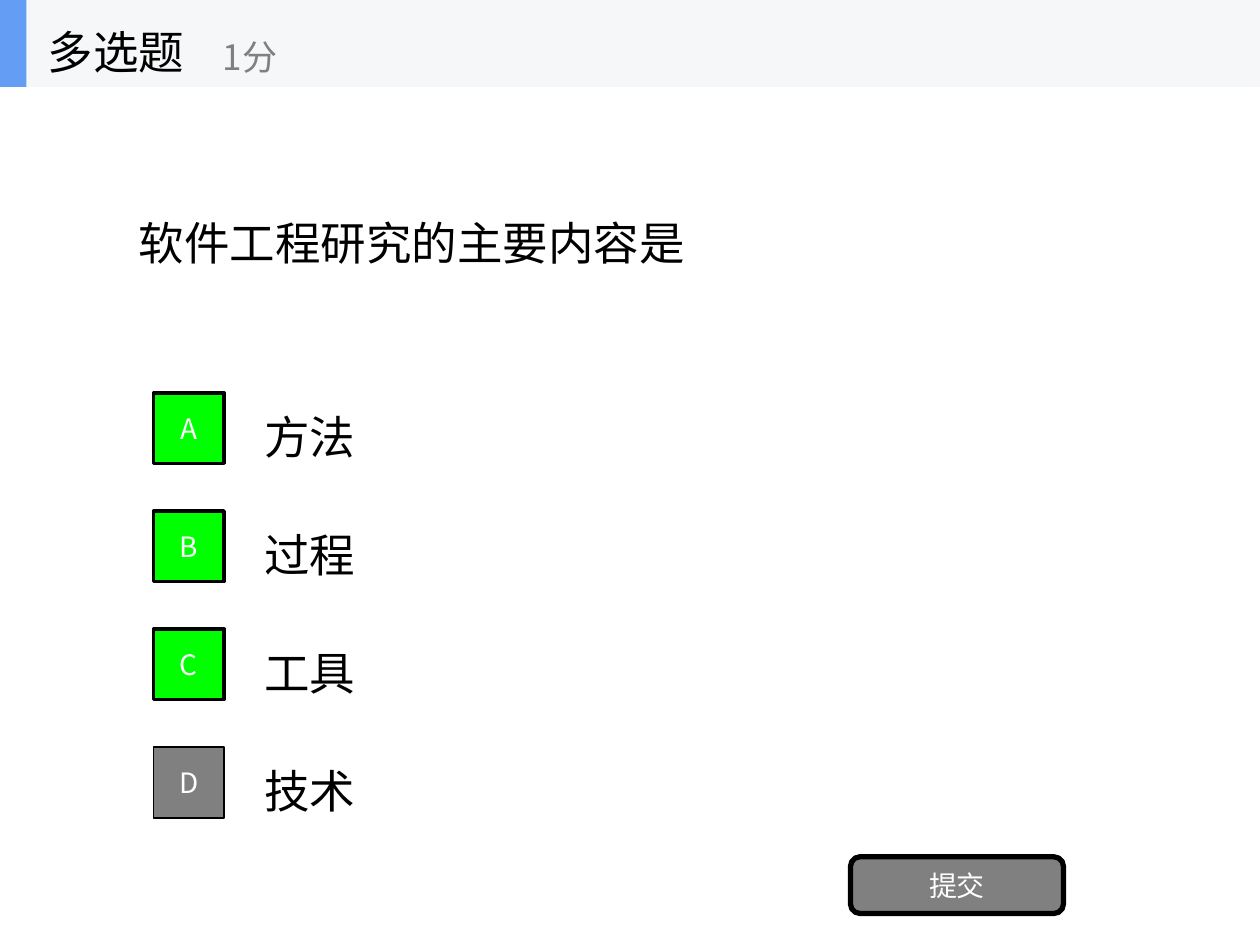
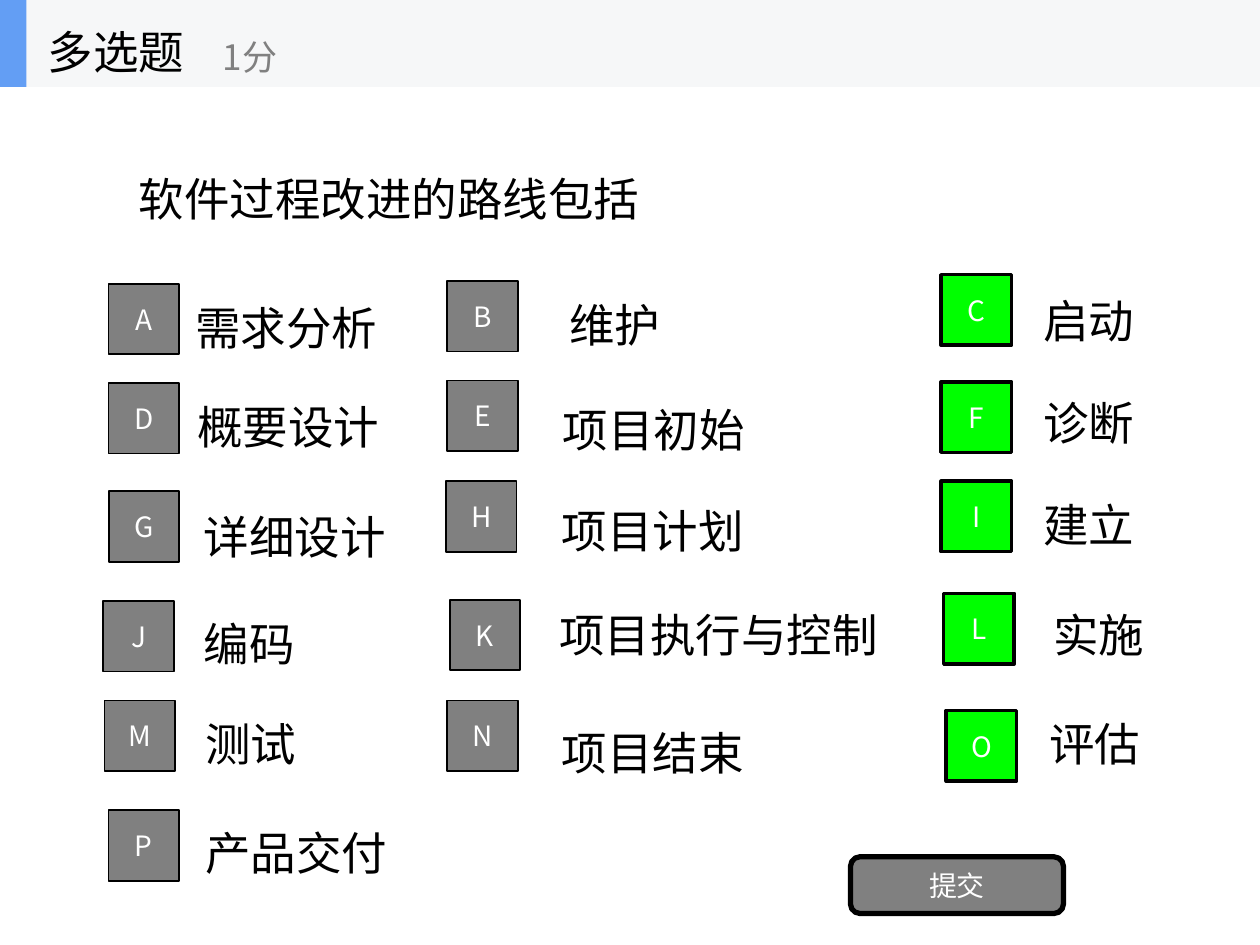
from collections import namedtuple

from lxml.etree import SubElement
from pptx import Presentation
from pptx.dml.color import RGBColor
from pptx.enum.shapes import MSO_SHAPE
from pptx.enum.text import MSO_ANCHOR, MSO_AUTO_SIZE, PP_ALIGN
from pptx.oxml.ns import qn
from pptx.util import Pt

Theme = namedtuple("Theme", "font ink gray white green band blue body score key")
theme = Theme(
    font="Noto Sans CJK SC",
    ink=RGBColor(0x00, 0x00, 0x00),
    gray=RGBColor(0x80, 0x80, 0x80),
    white=RGBColor(0xFF, 0xFF, 0xFF),
    green=RGBColor(0x00, 0xFF, 0x00),
    band=RGBColor(0xF6, 0xF7, 0xF8),
    blue=RGBColor(0x63, 0x9E, 0xF4),
    body=Pt(26),
    score=Pt(20),
    key=Pt(16),
)
WIDE, HIGH, BAND, SIDE, ROW = 720, 540, 49.7, 40.3, 50.4


def write(shape, text, size=theme.body, color=theme.ink, align=PP_ALIGN.LEFT, space=1.3):
    frame = shape.text_frame
    frame.text = text
    frame.word_wrap = True
    frame.auto_size = MSO_AUTO_SIZE.NONE
    frame.vertical_anchor = MSO_ANCHOR.MIDDLE
    para = frame.paragraphs[0]
    para.alignment = align
    para.line_spacing = space
    run = para.runs[0]
    run.font.name = theme.font
    run.font.size = size
    run.font.color.rgb = color
    SubElement(run._r.get_or_add_rPr(), qn("a:ea")).set("typeface", theme.font)


def draw(shapes, kind, area, fill, line=0, text=""):
    shape = shapes.add_shape(kind, *map(Pt, area))
    shape.shadow.inherit = False
    shape.fill.solid()
    shape.fill.fore_color.rgb = fill
    if line:
        shape.line.color.rgb = theme.ink
        shape.line.width = Pt(line)
    else:
        shape.line.fill.background()
    if text:
        write(shape, text, theme.key, theme.white, PP_ALIGN.CENTER, 1.0)


words = ["方法", "过程", "工具", "技术"]
topics = [
    (key, 87.8, 224.5 + 67.5 * row, word, 144, 219.4 + 67.5 * row, 504)
    for row, (key, word) in enumerate(zip("ABCD", words))
]
steps = [
    ("A", 62, 162.2, "需求分析", 104.4, 157, 136.8),
    ("B", 255.6, 160.6, "维护", 318.2, 155.5, 104.4),
    ("C", 537.8, 157, "启动", 589, 153.4, 90.7),
    ("D", 62, 218.9, "概要设计", 105.8, 213.8, 133.9),
    ("E", 255.6, 217.4, "项目初始", 314.6, 215.3, 159.1),
    ("F", 537.8, 218.2, "诊断", 589, 211.7, 96.5),
    ("G", 62.2, 280.8, "详细设计", 109.4, 276.5, 136.8),
    ("H", 254.9, 275, "项目计划", 313.9, 272.9, 157),
    ("I", 537.8, 275, "建立", 589, 270, 96.5),
    ("J", 59, 343.4, "编码", 109.4, 337.7, 136.8),
    ("K", 257, 342.7, "项目执行与控制", 312.5, 332.6, 205.9),
    ("L", 539.3, 339.1, "实施", 594.7, 332.6, 100.1),
    ("M", 59.8, 400.3, "测试", 110.2, 394.6, 81.4),
    ("N", 255.6, 400.3, "项目结束", 313.9, 400.3, 139),
    ("O", 540.7, 406.1, "评估", 592.6, 394.6, 90.7),
    ("P", 62, 463, "产品交付", 110.2, 457.2, 126),
]
quizzes = [
    ("软件工程研究的主要内容是", 168.5, topics, "ABC"),
    ("软件过程改进的路线包括", 118.1, steps, "CFILO"),
]

deck = Presentation()
deck.slide_width, deck.slide_height = Pt(WIDE), Pt(HIGH)

for asked, depth, options, right in quizzes:
    slide = deck.slides.add_slide(deck.slide_layouts[5])
    shapes = slide.shapes
    title = shapes.title
    title.left, title.top, title.width, title.height = map(Pt, (72, BAND, 576, depth))
    write(title, asked)

    for key, left, top, word, start, head, width in options:
        label = shapes.add_textbox(Pt(start), Pt(head), Pt(width), Pt(ROW))
        write(label, word)
        fill, line = (theme.green, 2) if key in right else (theme.gray, 1)
        draw(shapes, MSO_SHAPE.RECTANGLE, (left, top, SIDE, SIDE), fill, line, key)

    draw(shapes, MSO_SHAPE.ROUNDED_RECTANGLE, (486, 489.6, 121.7, 32.4), theme.gray, 3, "提交")

    header = shapes.add_group_shape().shapes
    draw(header, MSO_SHAPE.RECTANGLE, (0, 0, WIDE, BAND), theme.band)
    draw(header, MSO_SHAPE.RECTANGLE, (0, 0, 15.1, BAND), theme.blue)
    kind = header.add_textbox(Pt(20.2), Pt(0), Pt(149.8), Pt(BAND))
    write(kind, "多选题")
    score = header.add_textbox(Pt(120.2), Pt(8.6), Pt(180), Pt(SIDE))
    write(score, "1分", theme.score, theme.gray)

deck.save("out.pptx")
